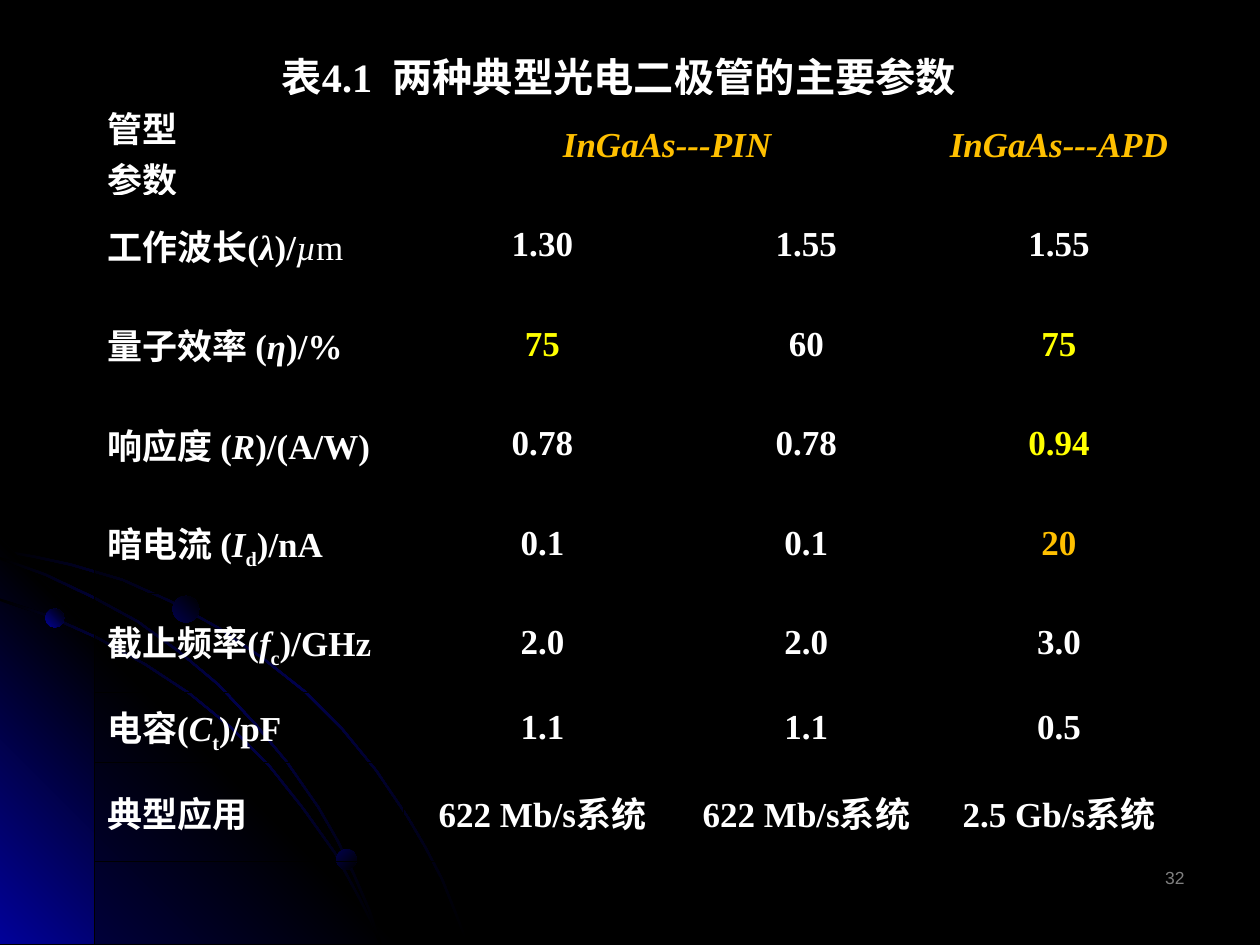
from pptx import Presentation
from pptx.dml.color import RGBColor
from pptx.enum.shapes import MSO_SHAPE
from pptx.enum.text import MSO_ANCHOR, PP_ALIGN
from pptx.oxml import parse_xml
from pptx.oxml.ns import nsdecls, qn
from pptx.util import Inches, Pt

WHITE, YELLOW, ORANGE, BLACK, BLUE = "FFFFFF", "FFFF00", "FFC000", "000000", "010199"


def format_text(p, size, color, bold=True, align=PP_ALIGN.LEFT, name="Times New Roman"):
    p.alignment = align
    f = p.font
    f.name, f.size, f.bold = name, Pt(size), bold
    f.color.rgb = RGBColor.from_string(color)


def paint(shape, colors, angle):
    stops = "".join(
        f'<a:gs pos="{100000 * i // (len(colors) - 1)}"><a:srgbClr val="{c}"/></a:gs>'
        for i, c in enumerate(colors))
    shape.shadow.inherit = False
    shape.line.fill.background()
    shape._element.spPr.find(qn("a:ln")).addprevious(parse_xml(
        f'<a:gradFill {nsdecls("a")} rotWithShape="1"><a:gsLst>{stops}</a:gsLst>'
        f'<a:lin ang="{angle * 60000}" scaled="1"/></a:gradFill>'))


prs = Presentation()
prs.slide_width, prs.slide_height = Inches(10), Inches(7.5)
s = prs.slides.add_slide(prs.slide_layouts[5])
s.background.fill.solid()
s.background.fill.fore_color.rgb = RGBColor.from_string(BLACK)

wide_arc = [(0, 4.38), (0.28, 4.43), (0.56, 4.49), (0.97, 4.61), (1.35, 4.78), (1.73, 4.99),
            (2.08, 5.23), (2.41, 5.49), (2.71, 5.79), (2.98, 6.12), (3.23, 6.49), (3.37, 6.73),
            (3.5, 6.98), (3.6, 7.23), (3.7, 7.49)]
low_arc = [(0, 4.77), (0.39, 4.9), (0.77, 5.07), (1.15, 5.28), (1.5, 5.51), (1.83, 5.78),
           (2.13, 6.08), (2.4, 6.42), (2.65, 6.77), (2.85, 7.14), (2.94, 7.32), (3.01, 7.49)]
middle_arc = [(0, 4.44), (0.36, 4.57), (0.74, 4.75), (1.09, 4.94), (1.42, 5.18), (1.73, 5.44),
              (2.02, 5.75), (2.27, 6.05), (2.52, 6.41), (2.67, 6.67), (2.8, 6.94),
              (2.92, 7.22), (3.01, 7.49)]
corner = [(0, 4.27), (3.22, 7.49), (0, 7.49)]

outlines = []
for arc in (wide_arc, low_arc, middle_arc):
    n = len(arc) - 1
    edge = [(x + 0.02 * i / n, y - 0.02 * (1 - i / n)) for i, (x, y) in enumerate(arc)]
    outlines.append((arc + edge[::-1], (BLACK, BLUE, BLACK), 45))
outlines.insert(1, (corner, (BLUE, BLACK, BLUE), 315))
for points, colors, angle in outlines:
    points = [(Inches(x), Inches(y)) for x, y in points]
    builder = s.shapes.build_freeform(*points[0])
    builder.add_line_segments(points[1:], close=True)
    paint(builder.convert_to_shape(), colors, angle)

for x, y, size, angle in ((0.36, 4.83, 0.15, 315), (2.67, 6.74, 0.16, 45), (1.37, 4.73, 0.21, 315)):
    dot = s.shapes.add_shape(MSO_SHAPE.OVAL, Inches(x), Inches(y), Inches(size), Inches(size))
    paint(dot, (BLUE, BLACK), angle)

number = s.shapes.add_textbox(Inches(7.17), Inches(6.83), Inches(2.33), Inches(0.5))
number.text_frame.word_wrap = True
p = number.text_frame.paragraphs[0]
p.text = "32"
format_text(p, 10, WHITE, False, PP_ALIGN.RIGHT, "Arial")

title = s.shapes.title
title.left, title.top, title.width, title.height = (Inches(v) for v in (1.81, 0.36, 6.21, 0.49))
tf = title.text_frame
tf.word_wrap, tf.vertical_anchor = False, MSO_ANCHOR.MIDDLE
tf.text = "表4.1  两种典型光电二极管的主要参数"
format_text(tf.paragraphs[0], 23, WHITE, align=PP_ALIGN.CENTER)

columns = [2.45, 2.21, 1.74, 0.24, 2.03]
heights = [0.79] * 6 + [0.55, 0.79, 0.67]
rows = [
    ([("管型\n参数", "")], "InGaAs---PIN", "", "InGaAs---APD"),
    ([("工作波长(", ""), ("λ", "i"), (")/", ""), ("µ", "in"), ("m", "n")], "1.30", "1.55", "1.55"),
    ([("量子效率 (", ""), ("η", "i"), (")/%", "")], "75", "60", "75"),
    ([("响应度 (", ""), ("R", "i"), (")/(A/W)", "")], "0.78", "0.78", "0.94"),
    ([("暗电流 (", ""), ("I", "i"), ("d", "s"), (")/nA", "")], "0.1", "0.1", "20"),
    ([("截止频率(", ""), ("f", "i"), ("c", "s"), (")/GHz", "")], "2.0", "2.0", "3.0"),
    ([("电容(", ""), ("C", "i"), ("t", "s"), (")/pF", "")], "1.1", "1.1", "0.5"),
    ([("典型应用", "")], "622 Mb/s系统", "622 Mb/s系统", "2.5 Gb/s系统"),
]
highlights = {"InGaAs---PIN": ORANGE, "InGaAs---APD": ORANGE, "20": ORANGE,
              "75": YELLOW, "0.94": YELLOW}

table = s.shapes.add_table(len(heights), len(columns), Inches(0.75), Inches(0.76),
                           Inches(sum(columns)), Inches(sum(heights))).table
table.first_row = table.horz_banding = False
for column, width in zip(table.columns, columns):
    column.width = Inches(width)
for row, height in zip(table.rows, heights):
    row.height = Inches(height)

for cell in table.iter_cells():
    tcPr = cell._tc.get_or_add_tcPr()
    for side in "LRTB":
        tcPr.append(parse_xml(
            f'<a:ln{side} {nsdecls("a")} w="{Pt(0.45)}"><a:solidFill><a:srgbClr val="{BLACK}"/>'
            f'</a:solidFill></a:ln{side}>'))
    tcPr.append(parse_xml(
        f'<a:solidFill {nsdecls("a")}><a:srgbClr val="{BLACK}"><a:alpha val="50000"/>'
        '</a:srgbClr></a:solidFill>'))

for i, (label, *values) in enumerate(rows):
    table.cell(i, 1 if i == 0 else 2).merge(table.cell(i, 3))
    cell = table.cell(i, 0)
    cell.vertical_anchor = MSO_ANCHOR.MIDDLE if i else MSO_ANCHOR.TOP
    if i == 0:
        cell.margin_bottom = 0
        cell.text_frame.text = label[0][0]
    else:
        for text, style in label:
            r = cell.text_frame.paragraphs[0].add_run()
            r.text = text
            if "i" in style:
                r.font.italic = True
            if "n" in style:
                r.font.bold = False
            if "s" in style:
                r.font._element.set("baseline", "-25000")
    for p in cell.text_frame.paragraphs:
        format_text(p, 20, WHITE)
    for j, value in zip((1, 2, 4), values):
        if value:
            cell = table.cell(i, j)
            cell.vertical_anchor = MSO_ANCHOR.MIDDLE
            p = cell.text_frame.paragraphs[0]
            p.text = value
            format_text(p, 20, highlights.get(value, WHITE), align=PP_ALIGN.CENTER)
            p.font.italic = i == 0

prs.save("out.pptx")
